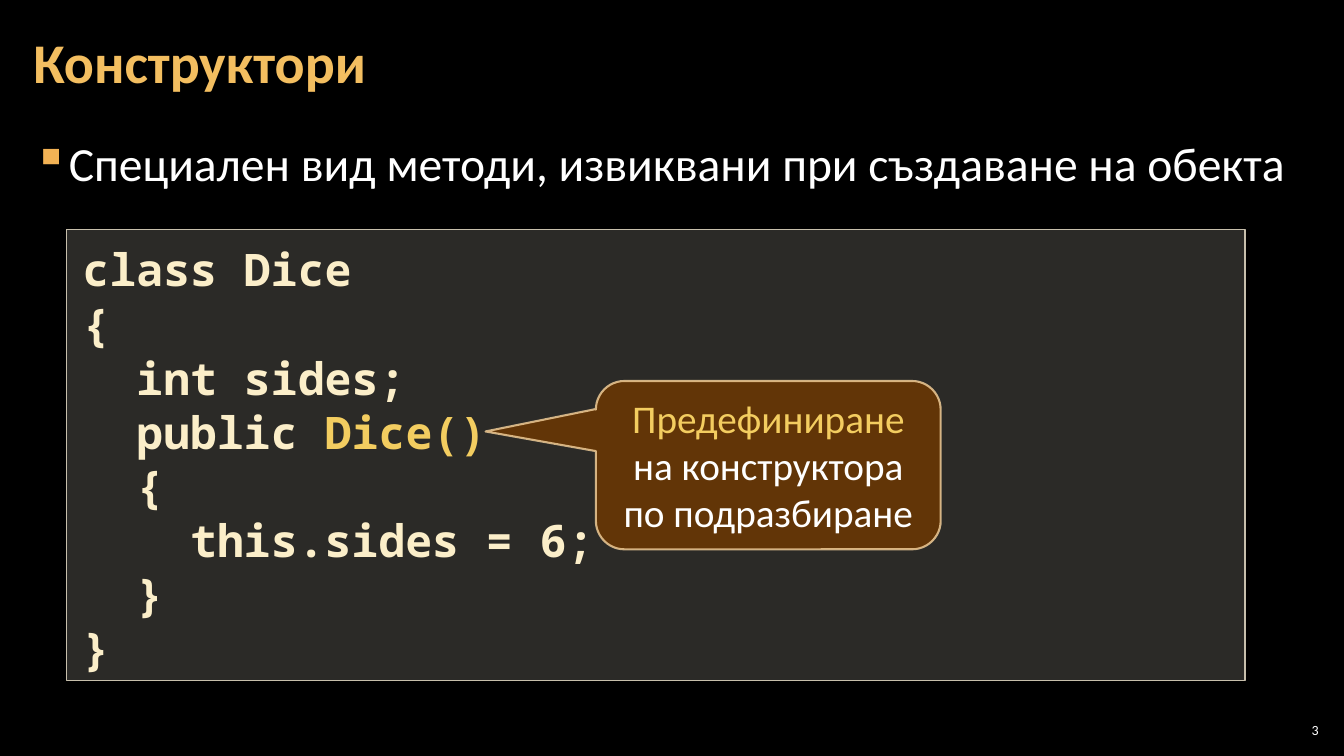
"""Builds the slide about constructors with a code box and a callout."""
from lxml.etree import SubElement
from pptx import Presentation
from pptx.dml.color import RGBColor
from pptx.enum.shapes import MSO_SHAPE as Preset
from pptx.enum.text import MSO_ANCHOR as Anchor, PP_ALIGN as Align
from pptx.oxml.ns import qn
from pptx.util import Inches, Pt

COLORS = {
    "background": "000000", "title": "F3BE60", "white": "FFFFFF", "bullet": "F2B254",
    "code": "FBEEC9", "highlight": "F3CD60", "code_fill": "D9D5C7", "code_line": "C7BFAC",
    "callout_fill": "663606", "callout_line": "F8D49E",
}
TITLE = "Конструктори"
BULLET = "Специален вид методи, извиквани при създаване на обекта"
CODE = [
    [("class Dice", "code")],
    [("{", "code")],
    [("  int sides;", "code")],
    [("  public ", "code"), ("Dice()", "highlight")],
    [("  {", "code")],
    [("    this.sides = 6;", "code")],
    [("  }", "code")],
    [("}", "code")],
]
CALLOUT = [[("Предефиниране ", "highlight"), ("на конструктора по подразбиране", "white")]]
NUMBER = "3"
TEXT_MARGINS = (0.12, 0.04, 0.12, 0.04)


def color(name):
    return RGBColor.from_string(COLORS[name])


def place(shape, left, top, width, height):
    shape.left, shape.top = Inches(left), Inches(top)
    shape.width, shape.height = Inches(width), Inches(height)


def write(shape, lines, size, font="Calibri", bold=False, align=Align.LEFT,
          anchor=Anchor.TOP, margins=(0.1, 0.05, 0.1, 0.05)):
    frame = shape.text_frame
    frame.word_wrap = True
    frame.vertical_anchor = anchor
    (frame.margin_left, frame.margin_top,
     frame.margin_right, frame.margin_bottom) = map(Inches, margins)
    for index, parts in enumerate(lines):
        paragraph = frame.paragraphs[0] if index == 0 else frame.add_paragraph()
        paragraph.alignment = align
        for text, name in parts:
            run = paragraph.add_run()
            run.text = text
            run.font.name = font
            run.font.size = Pt(size)
            run.font.bold = bold
            run.font.color.rgb = color(name)
    return frame.paragraphs


def set_opacity(fill, percent):
    for element in fill.iter(qn("a:srgbClr")):
        SubElement(element, qn("a:alpha"), val=str(percent * 1000))


def add_panel(slide, preset, box, name, fill_opacity, line_width, line_opacity):
    shape = slide.shapes.add_shape(preset, *map(Inches, box))
    shape.shadow.inherit = False
    shape.fill.solid()
    shape.fill.fore_color.rgb = color(name + "_fill")
    set_opacity(shape._element.spPr.find(qn("a:solidFill")), fill_opacity)
    shape.line.width = Pt(line_width)
    shape.line.color.rgb = color(name + "_line")
    set_opacity(shape._element.spPr.find(qn("a:ln")), line_opacity)
    return shape


def add_bullet(paragraph, indent):
    properties = paragraph._p.get_or_add_pPr()
    properties.set("marL", str(Inches(indent)))
    properties.set("indent", str(-Inches(indent)))
    bullet_color = SubElement(properties, qn("a:buClr"))
    SubElement(bullet_color, qn("a:srgbClr"), val=COLORS["bullet"])
    SubElement(properties, qn("a:buChar"), char="▪")


def main():
    presentation = Presentation()
    presentation.slide_width, presentation.slide_height = Inches(13.33), Inches(7.5)
    slide = presentation.slides.add_slide(presentation.slide_layouts[5])
    slide.background.fill.solid()
    slide.background.fill.fore_color.rgb = color("background")

    title = slide.shapes.title
    place(title, 0.21, 0.04, 12.91, 1.21)
    paragraphs = write(title, [[(TITLE, "title")]], 40, bold=True,
                       anchor=Anchor.MIDDLE, margins=TEXT_MARGINS)
    paragraphs[0].line_spacing = 0.9

    body = slide.shapes.add_textbox(*map(Inches, (0.21, 1.26, 12.91, 0.8)))
    paragraphs = write(body, [[(BULLET, "white")]], 34, margins=TEXT_MARGINS)
    paragraphs[0].line_spacing = 1.05
    add_bullet(paragraphs[0], 0.33)

    code = add_panel(slide, Preset.RECTANGLE, (0.66, 2.28, 11.69, 4.47), "code", 20, 1, 100)
    for paragraph in write(code, CODE, 32, "Noto Sans Mono", bold=True,
                           margins=(0.16, 0.12, 0.16, 0.04)):
        paragraph.line_spacing = Pt(38.6)

    callout = add_panel(slide, Preset.ROUNDED_RECTANGULAR_CALLOUT,
                        (5.91, 3.78, 3.42, 1.67), "callout", 95, 1.5, 80)
    for index, value in enumerate((-0.82, -0.2, 0.17)):
        callout.adjustments[index] = value
    write(callout, CALLOUT, 28, align=Align.CENTER, anchor=Anchor.MIDDLE)

    number = slide.shapes.add_textbox(*map(Inches, (12.65, 7.14, 0.47, 0.21)))
    write(number, [[(NUMBER, "white")]], 10, align=Align.RIGHT,
          anchor=Anchor.MIDDLE, margins=(0.04,) * 4)

    presentation.save("out.pptx")


if __name__ == "__main__":
    main()
